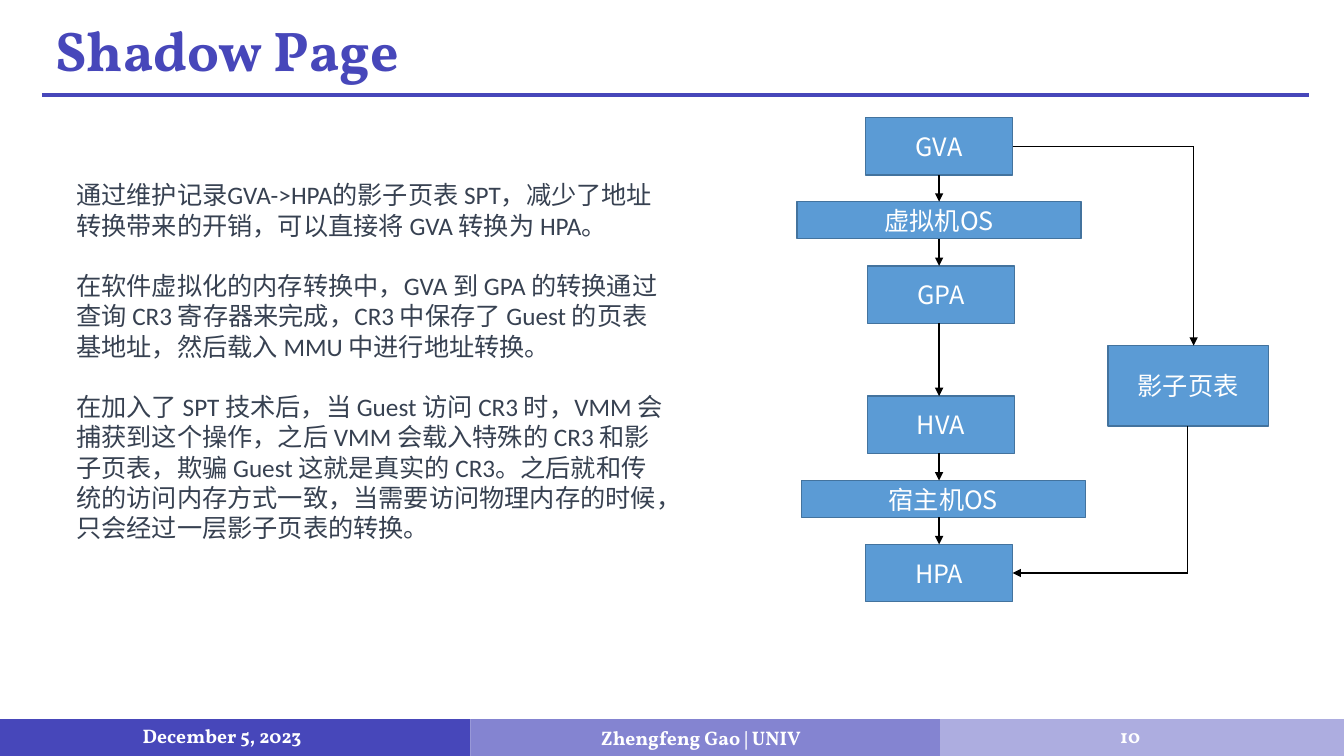
from pptx import Presentation
from pptx.dml.color import RGBColor
from pptx.enum.shapes import MSO_CONNECTOR, MSO_SHAPE
from pptx.enum.text import MSO_ANCHOR, PP_ALIGN
from pptx.oxml.ns import qn
from pptx.util import Inches, Pt
from lxml import etree

RECT = MSO_SHAPE.RECTANGLE
STRAIGHT = MSO_CONNECTOR.STRAIGHT
TOP, MIDDLE = MSO_ANCHOR.TOP, MSO_ANCHOR.MIDDLE
LEFT, CENTER = PP_ALIGN.LEFT, PP_ALIGN.CENTER

WIDTH, HEIGHT = Inches(13.33), Inches(7.5)
COLS, ROWS = 160, 90
TITLE_ONLY = 5

COLORS = {
    "indigo": "4747BA",
    "violet": "8484D1",
    "lilac": "ADADE0",
    "box": "5B9BD5",
    "edge": "43739E",
    "body": "374151",
    "black": "000000",
    "white": "FFFFFF",
}
SERIF, SANS, CJK = "Vollkorn", "Calibri", "Noto Sans CJK SC"

BODY = [
    "通过维护记录GVA->HPA的影子页表 SPT，减少了地址转换带来的开销，可以直接将 GVA 转换为 HPA。",
    "在软件虚拟化的内存转换中，GVA 到 GPA 的转换通过查询 CR3 寄存器来完成，"
    "CR3 中保存了 Guest 的页表基地址，然后载入 MMU 中进行地址转换。",
    "在加入了 SPT 技术后，当 Guest 访问 CR3 时，VMM 会捕获到这个操作，"
    "之后 VMM 会载入特殊的 CR3 和影子页表，欺骗 Guest 这就是真实的 CR3。"
    "之后就和传统的访问内存方式一致，当需要访问物理内存的时候，只会经过一层影子页表的转换。",
]

AXIS = 111.8
SPACE, SYSTEM = (17.5, 6.84), (33.8, 4.4)
CHAIN = [
    ("GVA", AXIS, 14, SPACE),
    ("虚拟机OS", AXIS, 24, SYSTEM),
    ("GPA", 112, 31.65, SPACE),
    ("HVA", 112, 47.15, SPACE),
    ("宿主机OS", 112.3, 57.2, SYSTEM),
    ("HPA", AXIS, 64.8, SPACE),
]

FOOTER_BANDS = [(56, "indigo"), (56, "violet"), (48, "lilac")]
FOOTER_TEXTS = [
    ("December 5, 2023", (15.8, 85.2, 24.2, 4.8), LEFT),
    ("Zhengfeng Gao | UNIV", (53.8, 86, 59.3, 3.6), CENTER),
    ("10", (129.2, 84, 10.7, 7.2), CENTER),
]


def col(n):
    return round(WIDTH * n / COLS)


def row(n):
    return round(HEIGHT * n / ROWS)


def place(left, top, width, height):
    return col(left), row(top), col(width), row(height)


def rgb(name):
    return RGBColor.from_string(COLORS[name])


def add_run(p, text, font, size, color, bold=False):
    r = p.add_run()
    r.text = text
    r.font.name, r.font.size, r.font.bold = font, Pt(size), bold
    r.font.color.rgb = rgb(color)
    ea = etree.SubElement(r.font._element, qn("a:ea"))
    ea.set("typeface", CJK)


def add_box(s, area, fill, edge=None, text=None):
    sp = s.shapes.add_shape(RECT, *place(*area))
    sp.shadow.inherit = False
    sp.fill.solid()
    sp.fill.fore_color.rgb = rgb(fill)
    if edge:
        sp.line.color.rgb = rgb(edge)
        sp.line.width = Pt(1)
    else:
        sp.line.fill.background()
    if text:
        tf = sp.text_frame
        tf.vertical_anchor = MIDDLE
        p = tf.paragraphs[0]
        p.alignment = CENTER
        add_run(p, text, CJK, 18, "white")


def add_text(s, area, paragraphs, font, size, color, bold=False,
             align=LEFT, anchor=TOP, gap=0):
    tf = s.shapes.add_textbox(*place(*area)).text_frame
    tf.word_wrap = True
    tf.vertical_anchor = anchor
    for i, text in enumerate(paragraphs):
        p = tf.add_paragraph() if i else tf.paragraphs[0]
        p.alignment = align
        p.space_before = Pt(gap if i else 0)
        add_run(p, text, font, size, color, bold)


def add_line(s, start, end, color="black", width=1, arrow=False):
    sp = s.shapes.add_connector(STRAIGHT, col(start[0]), row(start[1]),
                                col(end[0]), row(end[1]))
    sp.line.color.rgb = rgb(color)
    sp.line.width = Pt(width)
    if arrow:
        tail = etree.SubElement(sp.line._get_or_add_ln(), qn("a:tailEnd"))
        tail.set("type", "triangle")
    etree.SubElement(sp._element.spPr, qn("a:effectLst"))


def add_title(s, text):
    sp = s.shapes.title
    sp.left, sp.top, sp.width, sp.height = place(5.4, 2.2, 89.3, 8.5)
    tf = sp.text_frame
    tf.word_wrap = True
    tf.vertical_anchor = TOP
    p = tf.paragraphs[0]
    p.alignment = LEFT
    p.line_spacing = 0.9
    add_run(p, text, SERIF, 40, "indigo", True)
    add_line(s, (5, 11.3), (155.8, 11.3), "indigo", 3)


def add_footer(s):
    left = 0
    for width, fill in FOOTER_BANDS:
        add_box(s, (left, 85.6, width, 4.4), fill)
        left += width
    for text, area, align in FOOTER_TEXTS:
        add_text(s, area, [text], SERIF, 14, "white", True, align, MIDDLE)


def add_chain(s):
    for text, center, top, (width, height) in CHAIN:
        add_box(s, (center - width / 2, top, width, height), "box", "edge", text)
    for (_, _, top, size), (_, _, next_top, _) in zip(CHAIN, CHAIN[1:]):
        add_line(s, (AXIS, top + size[1]), (AXIS, next_top), arrow=True)


def add_shadow_route(s):
    left, top, width, height = 131.9, 41.15, 19.1, 9.55
    side = AXIS + SPACE[0] / 2
    gva_y, hpa_y = (CHAIN[i][2] + SPACE[1] / 2 for i in (0, -1))
    enter_x, leave_x = 142.1, 141.4
    add_box(s, (left, top, width, height), "box", "edge", "影子页表")
    add_line(s, (side, gva_y), (enter_x, gva_y))
    add_line(s, (enter_x, gva_y), (enter_x, top), arrow=True)
    add_line(s, (leave_x, top + height), (leave_x, hpa_y))
    add_line(s, (leave_x, hpa_y), (side, hpa_y), arrow=True)


def main():
    prs = Presentation()
    prs.slide_width, prs.slide_height = WIDTH, HEIGHT
    s = prs.slides.add_slide(prs.slide_layouts[TITLE_ONLY])
    add_footer(s)
    add_title(s, "Shadow Page")
    add_text(s, (7.9, 20.8, 72.5, 44.9), BODY, SANS, 18, "body", gap=21.6)
    add_chain(s)
    add_shadow_route(s)
    prs.save("out.pptx")


if __name__ == "__main__":
    main()
